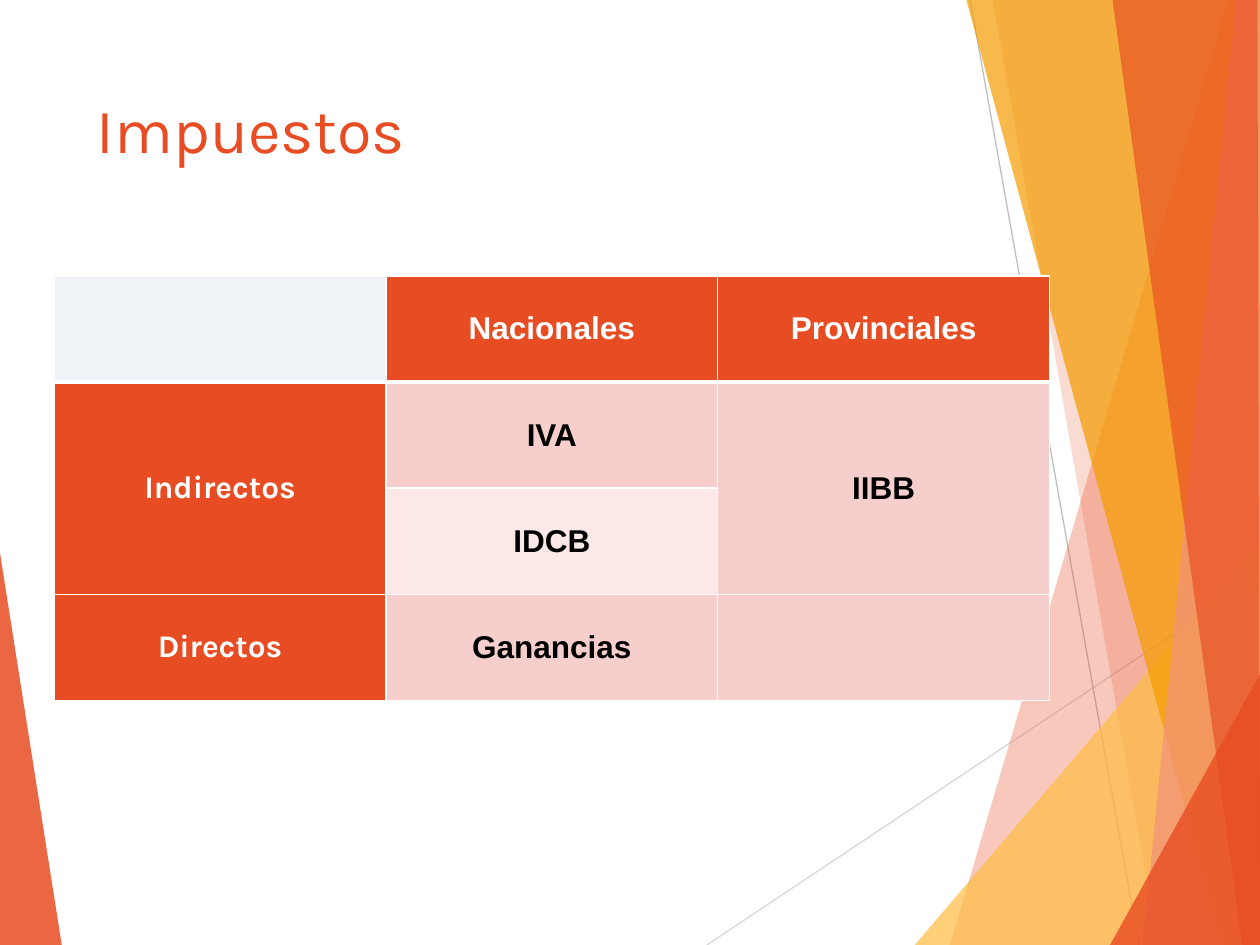
from lxml import etree
from pptx import Presentation
from pptx.dml.color import RGBColor
from pptx.enum.shapes import MSO_CONNECTOR
from pptx.enum.text import MSO_ANCHOR, PP_ALIGN
from pptx.oxml.ns import qn
from pptx.util import Inches, Pt

STRAIGHT = MSO_CONNECTOR.STRAIGHT
MIDDLE, TOP = MSO_ANCHOR.MIDDLE, MSO_ANCHOR.TOP
CENTER, LEFT = PP_ALIGN.CENTER, PP_ALIGN.LEFT

WIDTH, HEIGHT = 10, 7.5
WHITE, BLACK, ORANGE = "FFFFFF", "000000", "E84C22"
AMBER, GOLD, SALMON = "F49C00", "FFBD47", "F19279"
PALE, ROSE, BLUSH = "EFF3F7", "F6CECB", "FBE8E7"

LINES = [
    ((5.61, 7.5), (10.01, 4.57), "D8D8D8"),
    ((7.7, 0), (9.04, 7.5), "BFBFBF"),
]
LEFT_FACET = ([(0, 4.39), (0.49, 7.5), (0, 7.5)], ORANGE, 85)
RIGHT_FACETS = [
    ([(9.75, 0), (7.54, 7.5), (10, 7.5), (10, 0)], ORANGE, 30),
    ([(7.88, 0), (9.19, 7.5), (10, 7.5), (10, 0)], ORANGE, 20),
    ([(7.26, 7.5), (10, 4.29), (10, 7.5)], GOLD, 72),
    ([(7.67, 0), (9.7, 7.5), (10, 7.5), (10, 0)], AMBER, 70),
    ([(9.81, 0), (9.07, 7.5), (10, 7.5), (10, 0)], SALMON, 70),
    ([(8.83, 0), (9.86, 7.5), (10, 7.5), (9.98, 0)], ORANGE, 65),
    ([(8.81, 7.5), (10, 5.35), (10, 7.5)], ORANGE, 80),
]
TAXES = [
    ("", "Nacionales", "Provinciales"),
    ("Indirectos", "IVA", "IIBB"),
    ("", "IDCB", ""),
    ("Directos", "Ganancias", ""),
]


def color(hex_string):
    """Turn a hex string into a colour."""
    return RGBColor.from_string(hex_string)


def write_text(frame, text, size=18, font="Arial", fill=BLACK, bold=False,
               align=CENTER):
    """Write one formatted paragraph into a text frame."""
    paragraph = frame.paragraphs[0]
    paragraph.alignment = align
    run = paragraph.add_run()
    run.text = text
    run.font.size = Pt(size)
    run.font.name = font
    run.font.bold = bold
    run.font.color.rgb = color(fill)


def add_facet(slide, left, top, points, fill, opacity):
    """Draw a translucent polygon relative to the given corner."""
    corners = [(Inches(left + x), Inches(top + y)) for x, y in points]
    builder = slide.shapes.build_freeform(*corners[0], scale=1.0)
    builder.add_line_segments(corners[1:], close=True)
    shape = builder.convert_to_shape()
    shape.shadow.inherit = False
    shape.line.fill.background()
    shape.fill.solid()
    shape.fill.fore_color.rgb = color(fill)
    fill_color = shape.fill._xPr.find(qn("a:solidFill"))[0]
    etree.SubElement(fill_color, qn("a:alpha"), val=str(opacity * 1000))


def add_hairline(slide, left, top, start, end, stroke):
    """Draw a thin straight line relative to the given corner."""
    connector = slide.shapes.add_connector(
        STRAIGHT, Inches(left + start[0]), Inches(top + start[1]),
        Inches(left + end[0]), Inches(top + end[1]))
    connector.line.width = Pt(0.75)
    connector.line.color.rgb = color(stroke)
    etree.SubElement(connector._element.spPr, qn("a:effectLst"))


def add_backdrop(slide, left, top):
    """Draw the faceted decoration from back to front."""
    add_facet(slide, left, top, *LEFT_FACET)
    for line in LINES:
        add_hairline(slide, left, top, *line)
    for facet in RIGHT_FACETS:
        add_facet(slide, left, top, *facet)


def add_title(slide, left, top, width, height):
    """Place the slide title in its box."""
    box = slide.shapes.add_textbox(
        Inches(left), Inches(top), Inches(width), Inches(height))
    box.text_frame.word_wrap = True
    box.text_frame.vertical_anchor = TOP
    write_text(box.text_frame, "Impuestos", size=36, font="Karla",
               fill=ORANGE, align=LEFT)


def set_borders(cell, top, bottom):
    """Give a cell white borders, with top and bottom widths in points."""
    properties = cell._tc.get_or_add_tcPr()
    for side, width in (("L", 1), ("R", 1), ("T", top), ("B", bottom)):
        line = etree.SubElement(properties, qn(f"a:ln{side}"), w=str(Pt(width)))
        fill = etree.SubElement(line, qn("a:solidFill"))
        etree.SubElement(fill, qn("a:srgbClr"), val=WHITE)


def cell_fill(row, column):
    """Choose the fill of a cell from its place in the grid."""
    if row == 0 and column == 0:
        return PALE
    if row == 0 or column == 0:
        return ORANGE
    return BLUSH if row == 2 else ROSE


def add_tax_table(slide, left, top, width, height):
    """Place the table of taxes by type and jurisdiction."""
    row_count, column_count = len(TAXES), len(TAXES[0])
    table = slide.shapes.add_table(
        row_count, column_count, Inches(left), Inches(top),
        Inches(width), Inches(height)).table
    for row, texts in enumerate(TAXES):
        table.rows[row].height = Inches(height / row_count)
        for column, text in enumerate(texts):
            cell = table.cell(row, column)
            set_borders(cell, top=3 if row == 1 else 1,
                        bottom=3 if row == 0 else 1)
            cell.fill.solid()
            cell.fill.fore_color.rgb = color(cell_fill(row, column))
            cell.vertical_anchor = MIDDLE
            if text:
                heading = row == 0 or column == 0
                write_text(cell.text_frame, text, bold=True,
                           font="Arial" if column else "Karla",
                           fill=WHITE if heading else BLACK)
    for column in (0, 2):
        table.cell(1, column).merge(table.cell(2, column))


def main():
    """Build and save the slide."""
    presentation = Presentation()
    presentation.slide_width = Inches(WIDTH)
    presentation.slide_height = Inches(HEIGHT)
    slide = presentation.slides.add_slide(presentation.slide_layouts[6])
    add_backdrop(slide, 0, 0)
    add_title(slide, 0.67, 0.67, 6.94, 1.44)
    add_tax_table(slide, 0.43, 2.19, 7.9, 3.37)
    presentation.save("out.pptx")


if __name__ == "__main__":
    main()
